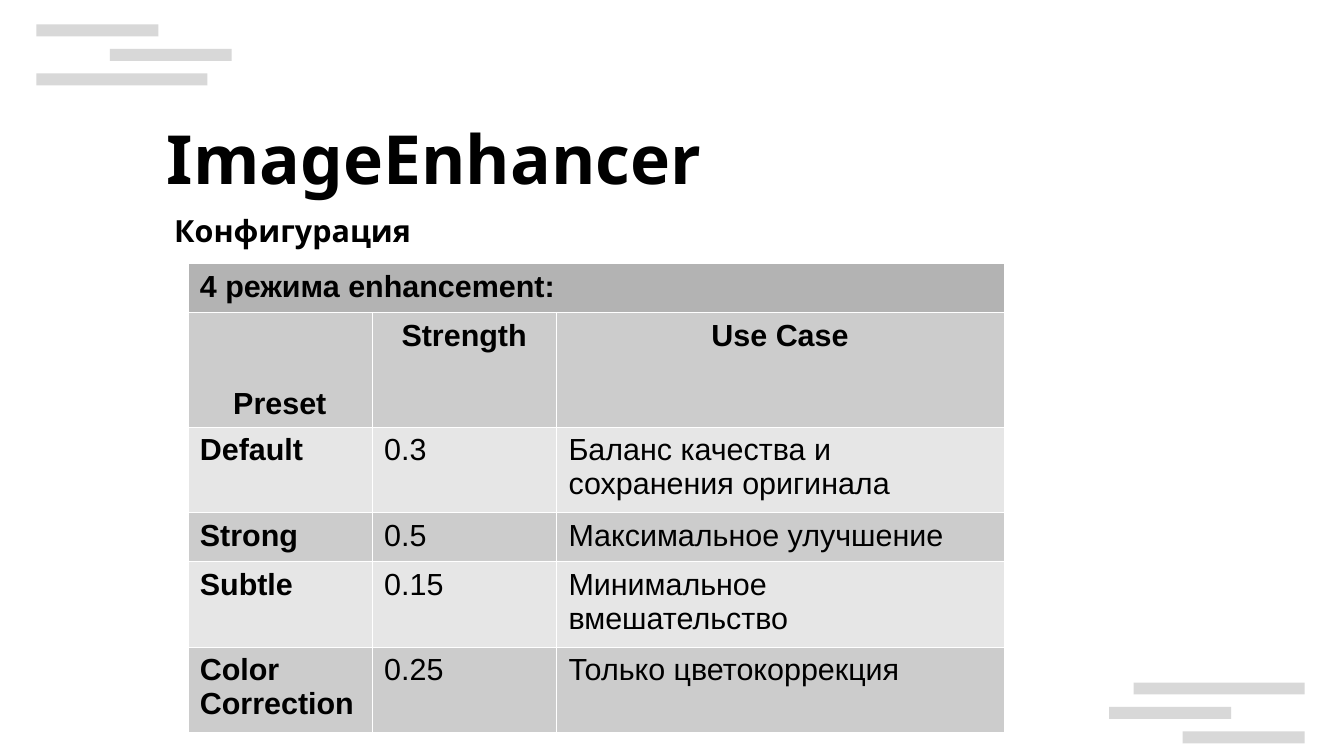
import lxml.etree
import pptx
import pptx.dml.color
import pptx.enum.shapes
import pptx.enum.text
import pptx.oxml.ns
import pptx.util

Cm = pptx.util.Cm
Pt = pptx.util.Pt
ALIGN = pptx.enum.text.PP_ALIGN
ANCHOR = pptx.enum.text.MSO_ANCHOR

# Content
HEADINGS = [  # text, left, top, width, height (cm), size (pt)
    ("ImageEnhancer", 3.23, 2.31, 11.66, 2.18, 40),
    ("Конфигурация", 3.38, 4.29, 15.11, 1.12, 18),
]
TABLE_TITLE = "4 режима enhancement:"
COLUMN_NAMES = ("Preset", "Strength", "Use Case")
PRESETS = [
    ("Default", "0.3", "Баланс качества и сохранения оригинала"),
    ("Strong", "0.5", "Максимальное улучшение"),
    ("Subtle", "0.15", "Минимальное вмешательство"),
    ("Color Correction", "0.25", "Только цветокоррекция"),
]

# Layout in cm
SLIDE_SIZE = (28, 15.75)
TABLE_LEFT, TABLE_TOP = 3.91, 5.49
COLUMN_WIDTHS = (3.84, 3.84, 9.32)
ROW_HEIGHTS = (0.97, 2.39, 1.68, 0.97, 1.68, 1.68)
BAR_HEIGHT, BAR_PITCH = 0.25, 0.51
BAR_GROUPS = [  # top of the first bar, then left and width of each bar
    (0.51, [(0.76, 2.54), (2.29, 2.54), (0.76, 3.56)]),
    (14.22, [(23.62, 3.56), (23.11, 2.54), (24.64, 2.54)]),
]

COLORS = {"text": "000000", "bar": "CCCCCC", "title": "B3B3B3",
          "dark": "CCCCCC", "light": "E6E6E6", "border": "FFFFFF"}
BAR_ALPHA = 75
BORDER_WIDTH = 0.06


def rgb(name):
    return pptx.dml.color.RGBColor.from_string(COLORS[name])


def add_child(parent, tag, **attributes):
    return lxml.etree.SubElement(parent, pptx.oxml.ns.qn(tag), attributes)


def write(text_frame, text, font_name, size, bold, alignment=ALIGN.LEFT):
    text_frame.text = text
    paragraph = text_frame.paragraphs[0]
    paragraph.alignment = alignment
    font = paragraph.runs[0].font
    font.name, font.size, font.bold = font_name, Pt(size), bold
    font.color.rgb = rgb("text")


def add_bar(slide, left, top, width):
    bar = slide.shapes.add_shape(
        pptx.enum.shapes.MSO_SHAPE.RECTANGLE,
        Cm(left), Cm(top), Cm(width), Cm(BAR_HEIGHT))
    bar.shadow.inherit = False
    bar.line.fill.background()
    bar.fill.solid()
    bar.fill.fore_color.rgb = rgb("bar")
    color = bar.fill._xPr.find(".//" + pptx.oxml.ns.qn("a:srgbClr"))
    add_child(color, "a:alpha", val=str(BAR_ALPHA * 1000))


def style_cell(cell, fill_name):
    properties = cell._tc.get_or_add_tcPr()
    for side in ("a:lnL", "a:lnR", "a:lnT", "a:lnB"):
        line = add_child(properties, side, w=str(Pt(BORDER_WIDTH)))
        add_child(add_child(line, "a:solidFill"), "a:srgbClr", val=COLORS["border"])
    cell.fill.solid()
    cell.fill.fore_color.rgb = rgb(fill_name)


def add_preset_table(slide):
    rows = [(TABLE_TITLE, "", ""), COLUMN_NAMES] + PRESETS
    table = slide.shapes.add_table(
        len(rows), len(COLUMN_WIDTHS), Cm(TABLE_LEFT), Cm(TABLE_TOP),
        Cm(sum(COLUMN_WIDTHS)), Cm(sum(ROW_HEIGHTS))).table
    for column, width in zip(table.columns, COLUMN_WIDTHS):
        column.width = Cm(width)
    for row, height in zip(table.rows, ROW_HEIGHTS):
        row.height = Cm(height)
    for row_index, texts in enumerate(rows):
        fill_name = "title" if row_index == 0 else ("light", "dark")[row_index % 2]
        alignment = ALIGN.CENTER if row_index == 1 else ALIGN.LEFT
        for column_index, text in enumerate(texts):
            cell = table.cell(row_index, column_index)
            style_cell(cell, fill_name)
            if text:
                bold = row_index < 2 or column_index == 0
                write(cell.text_frame, text, "Arial", 18, bold, alignment)
    table.cell(0, 0).merge(table.cell(0, len(COLUMN_WIDTHS) - 1))
    table.cell(1, 0).vertical_anchor = ANCHOR.BOTTOM


def main():
    presentation = pptx.Presentation()
    presentation.slide_width, presentation.slide_height = map(Cm, SLIDE_SIZE)
    slide = presentation.slides.add_slide(presentation.slide_layouts[6])

    # Corner bars
    for first_top, bars in BAR_GROUPS:
        for index, (left, width) in enumerate(bars):
            add_bar(slide, left, first_top + index * BAR_PITCH, width)

    # Headings
    for text, left, top, width, height, size in HEADINGS:
        box = slide.shapes.add_textbox(Cm(left), Cm(top), Cm(width), Cm(height))
        box.text_frame.word_wrap = True
        write(box.text_frame, text, "Noto Sans", size, True)

    # Table of presets
    add_preset_table(slide)
    presentation.save("out.pptx")


if __name__ == "__main__":
    main()
